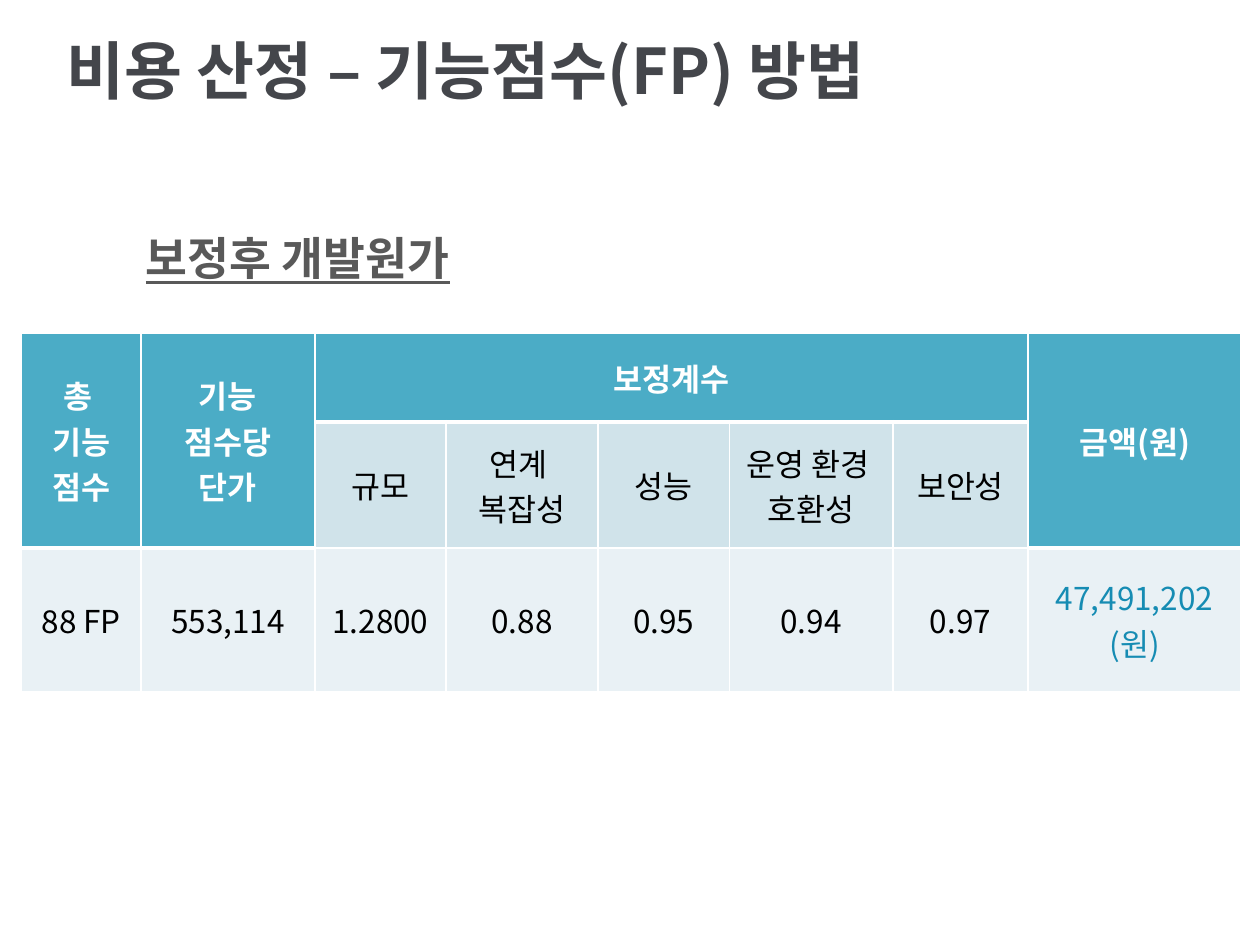
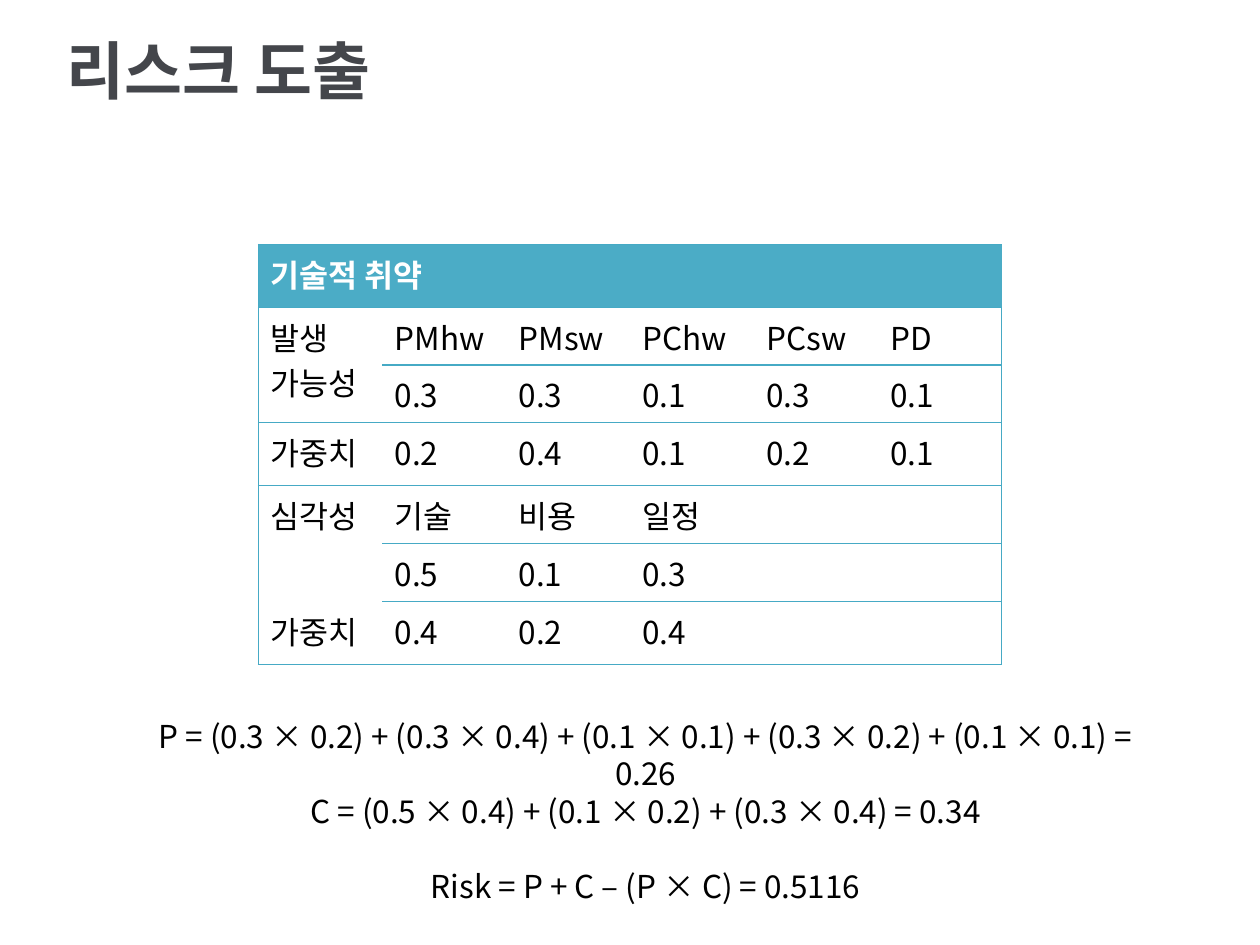
"""Build two slides on function point cost and project risk."""
from dataclasses import dataclass

from lxml.etree import SubElement
from pptx import Presentation
from pptx.dml.color import RGBColor
from pptx.enum.text import MSO_ANCHOR, PP_ALIGN
from pptx.oxml import parse_xml
from pptx.oxml.ns import nsdecls, qn
from pptx.util import Pt


@dataclass(frozen=True)
class Theme:
    face: str = "Noto Sans CJK KR"
    title: str = "44464B"
    sub: str = "595959"
    white: str = "FFFFFF"
    black: str = "000000"
    head: str = "4BACC6"
    mid: str = "D0E3EA"
    pale: str = "E9F1F5"
    sum: str = "168CB3"
    rule: str = "46AAC5"
    big: int = 36
    large: int = 26
    body: int = 18


look = Theme()

COST = {
    "title": "비용 산정 – 기능점수(FP) 방법",
    "sub": "보정후 개발원가",
    "at": (12.4, 190.2),
    "cols": (68.2, 99.4, 74.9, 87, 74.9, 93.5, 77.3, 121.7),
    "rows": (51, 72, 82),
    "cells": [
        ["총 \n기능\n점수", "기능\n점수당 단가", "보정계수", "", "", "", "", "금액(원)"],
        ["", "", "규모", "연계 \n복잡성", "성능", "운영 환경 \n호환성", "보안성", ""],
        ["88 FP", "553,114", "1.2800", "0.88", "0.95", "0.94", "0.97", "47,491,202\n(원)"],
    ],
    "spans": [(0, 0, 1, 0), (0, 1, 1, 1), (0, 2, 0, 6), (0, 7, 1, 7)],
}

RISK = {
    "title": "리스크 도출",
    "at": (147.6, 139.6),
    "cols": (70.8,) * 6,
    "rows": (36, 33, 33, 36, 33, 33, 36),
    "cells": [
        ["기술적 취약", "", "", "", "", ""],
        ["발생 \n가능성", "PMhw", "PMsw", "PChw", "PCsw", "PD"],
        ["", "0.3", "0.3", "0.1", "0.3", "0.1"],
        ["가중치", "0.2", "0.4", "0.1", "0.2", "0.1"],
        ["심각성", "기술", "비용", "일정", "", ""],
        ["", "0.5", "0.1", "0.3", "", ""],
        ["가중치", "0.4", "0.2", "0.4", "", ""],
    ],
    "spans": [(0, 0, 0, 5), (1, 0, 2, 0), (4, 0, 5, 0)],
}

SUMS = [
    "P = (0.3 × 0.2) + (0.3 × 0.4) + (0.1 × 0.1) + (0.3 × 0.2) + (0.1 × 0.1) = 0.26",
    "C = (0.5 × 0.4) + (0.1 × 0.2) + (0.3 × 0.4) = 0.34",
    "Risk = P + C – (P × C) = 0.5116",
]


def put(part, **vals):
    for name, val in vals.items():
        setattr(part, name, val)


def write(para, text, size, ink, **vals):
    para.text = text
    for run in para.runs:
        put(run.font, size=Pt(size), name=look.face, **vals)
        run.font.color.rgb = RGBColor.from_string(ink)
        SubElement(run.font._element, qn("a:ea")).set("typeface", look.face)


def add_text(slide, box, lines, size, ink, anchor=MSO_ANCHOR.TOP, **vals):
    frame = slide.shapes.add_textbox(*map(Pt, box)).text_frame
    put(frame, word_wrap=True, vertical_anchor=anchor)
    for i, line in enumerate(lines):
        para = frame.add_paragraph() if i else frame.paragraphs[0]
        write(para, line, size, ink, **vals)
    return frame.paragraphs


def edge(cell, ink, widths):
    props = cell._tc.get_or_add_tcPr()
    for i, (side, width) in enumerate(zip("LRTB", widths)):
        fill = f'<a:solidFill><a:srgbClr val="{ink}"/></a:solidFill>' if width else "<a:noFill/>"
        tag = f"a:ln{side}"
        props.insert(i, parse_xml(
            f'<{tag} {nsdecls("a")} w="{int(Pt(width))}">{fill}</{tag}>'))


def add_grid(slide, data, style, ink):
    cols, rows = data["cols"], data["rows"]
    size = sum(cols), sum(rows)
    grid = slide.shapes.add_table(
        len(rows), len(cols), *map(Pt, data["at"] + size)).table
    put(grid, first_row=False, horz_banding=False)
    for col, width in zip(grid.columns, cols):
        col.width = Pt(width)
    for row, height in zip(grid.rows, rows):
        row.height = Pt(height)
    for top, left, low, right in data["spans"]:
        grid.cell(top, left).merge(grid.cell(low, right))
    for r, line in enumerate(data["cells"]):
        for c, text in enumerate(line):
            cell = grid.cell(r, c)
            fill, tint, bold, align, anchor, widths = style(r, c)
            cell.vertical_anchor = anchor
            if fill:
                cell.fill.solid()
                cell.fill.fore_color.rgb = RGBColor.from_string(fill)
            else:
                cell.fill.background()
            edge(cell, ink, widths)
            if text:
                para = cell.text_frame.paragraphs[0]
                para.alignment = align
                write(para, text, look.body, tint, bold=bold)


def cost_style(r, c):
    inner = 2 <= c <= 6
    head = r == 0 or (r == 1 and not inner)
    fill = look.head if head else (look.mid, look.pale)[r - 1]
    tint = look.white if head else look.sum if c == 7 else look.black
    thick = 1 if inner else 2
    widths = (1, 1, 3 if r == thick else 1, 3 if r + 1 == thick else 1)
    return fill, tint, head, PP_ALIGN.CENTER, MSO_ANCHOR.MIDDLE, widths


def risk_style(r, c):
    head = r == 0
    gaps = (2, 5, 6) if c == 0 else ()
    top, low = (0 if n in gaps else 0.75 for n in (r, r + 1))
    left = 0.75 if c == 0 else 0
    right = 0.75 if c == 5 else 0
    fill, tint = (look.head, look.white) if head else (None, look.black)
    return fill, tint, head, PP_ALIGN.LEFT, MSO_ANCHOR.TOP, (left, right, top, low)


def add_page(deck, data, style, ink):
    slide = deck.slides.add_slide(deck.slide_layouts[6])
    add_text(slide, (31, 3, 522, 73), [data["title"]], look.big, look.title,
             MSO_ANCHOR.MIDDLE, bold=True)
    add_grid(slide, data, style, ink)
    return slide


def main():
    deck = Presentation()
    put(deck, slide_width=Pt(720), slide_height=Pt(540))
    cost = add_page(deck, COST, cost_style, look.white)
    add_text(cost, (76.3, 128, 360, 39), [COST["sub"]], look.large, look.sub,
             bold=True, underline=True)
    risk = add_page(deck, RISK, risk_style, look.rule)
    paras = add_text(risk, (79.2, 406, 579.6, 94.3), SUMS, look.body, look.black)
    for para in paras:
        put(para, alignment=PP_ALIGN.CENTER, line_spacing=Pt(21.5))
    paras[-1].space_before = Pt(21.5)
    deck.save("out.pptx")


if __name__ == "__main__":
    main()
